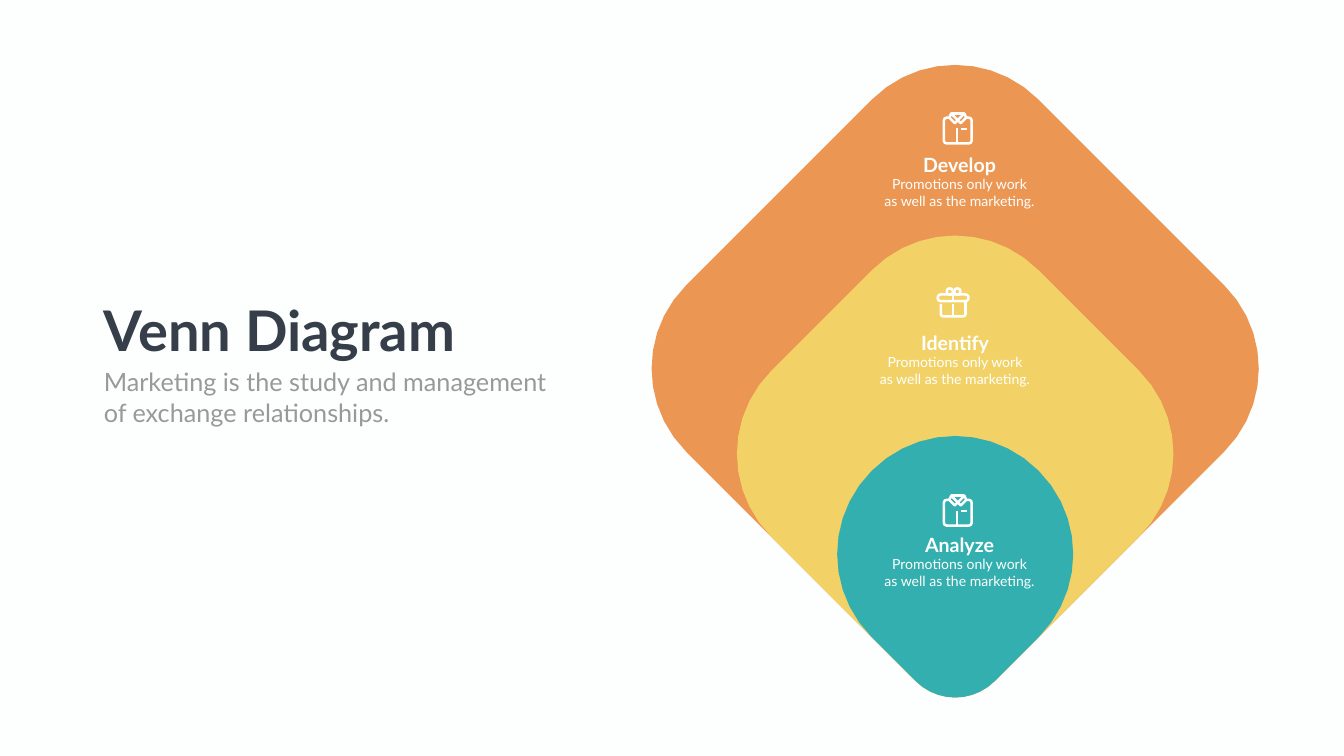
from math import dist

from lxml.etree import SubElement
from pptx import Presentation
from pptx.dml.color import RGBColor
from pptx.enum.shapes import MSO_CONNECTOR as Connector, MSO_SHAPE as Preset
from pptx.enum.text import MSO_ANCHOR as Anchor, MSO_AUTO_SIZE as AutoSize, PP_ALIGN as Align
from pptx.oxml.ns import qn
from pptx.util import Cm, Pt

COLORS = {
    "paper": "FDFFFE",
    "heading": "353E49",
    "muted": "989998",
    "orange": "EB9652",
    "yellow": "F2D267",
    "teal": "32AFAE",
    "icon": "FFFFFF",
}
FONT = "Lato"
DIAMOND_AXIS, DIAMOND_BOTTOM = 48.13, 36.32
SHOULDER_CUT, TIP_CUT = 5.94, 2.83
CURVE = 0.555
SHIRT_WIDTH, GIFT_WIDTH = 1.52, 1.68
CAPTION = ["Promotions only work", "as well as the marketing."]


def rgb(name):
    return RGBColor.from_string(COLORS[name])


def toward(start, end, length):
    share = length / dist(start, end)
    return tuple(a + (b - a) * share for a, b in zip(start, end))


def rounded_corner(before, corner, after, cut, steps):
    start, end = toward(corner, before, cut), toward(corner, after, cut)
    pull, push = (toward(corner, p, cut * (1 - CURVE)) for p in (before, after))
    points = []
    for step in range(steps + 1):
        t = step / steps
        u = 1 - t
        weights = (u**3, 3 * u * u * t, 3 * u * t * t, t**3)
        points.append(tuple(
            sum(w * p[axis] for w, p in zip(weights, (start, pull, push, end)))
            for axis in (0, 1)
        ))
    return points


def add_outline(slide, points, closed):
    places = [(Cm(x), Cm(y)) for x, y in points]
    builder = slide.shapes.build_freeform(*places[0])
    builder.add_line_segments(places[1:], close=closed)
    return builder.convert_to_shape()


def paint(shape, fill=None, stroke=None):
    shape.shadow.inherit = False
    if fill:
        shape.fill.solid()
        shape.fill.fore_color.rgb = rgb(fill)
    else:
        shape.fill.background()
    if stroke:
        shape.line.color.rgb = rgb(stroke)
        shape.line.width = Pt(3.6)
    else:
        shape.line.fill.background()


def add_stroke(slide, left, top, corners, cut=0, closed=False):
    placed = [(left + x, top + y) for x, y in corners]
    if cut:
        points = [placed[0]]
        for before, corner, after in zip(placed, placed[1:], placed[2:]):
            points += rounded_corner(before, corner, after, cut, steps=2)
        placed = points + [placed[-1]]
    paint(add_outline(slide, placed, closed), stroke="icon")


def add_frame(slide, left, top, width, height, cut):
    rim = slide.shapes.add_shape(
        Preset.ROUNDED_RECTANGLE, Cm(left), Cm(top), Cm(width), Cm(height)
    )
    rim.adjustments[0] = cut / min(width, height)
    paint(rim, stroke="icon")


def add_bar(slide, left, top, start, end, weight=3.6):
    bar = slide.shapes.add_connector(
        Connector.STRAIGHT,
        Cm(left + start[0]), Cm(top + start[1]), Cm(left + end[0]), Cm(top + end[1]),
    )
    bar.line.color.rgb = rgb("icon")
    bar.line.width = Pt(weight)
    SubElement(bar._element.spPr, qn("a:effectLst"))


def draw_shirt(slide, center, top):
    left = center - SHIRT_WIDTH / 2
    body = [(0.3, 0.27), (0.06, 0.27), (0.06, 1.57), (1.46, 1.57), (1.46, 0.27), (1.22, 0.27)]
    lapel = [(0.76, 0.4), (0.91, 0.55), (1.19, 0.27), (1.09, 0.06)]
    add_stroke(slide, left, top, body, cut=0.14)
    add_bar(slide, left, top, (0.43, 0.06), (1.09, 0.06))
    for side in (lapel, [(SHIRT_WIDTH - x, y) for x, y in lapel]):
        add_stroke(slide, left, top, side, closed=True)
    add_bar(slide, left, top, (0.94, 0.84), (1.24, 0.84), weight=2.9)
    add_bar(slide, left, top, (0.74, 0.81), (0.74, 1.57), weight=2.9)


def draw_gift(slide, center, top):
    left = center - GIFT_WIDTH / 2
    for bow in (0.52, 0.9):
        add_frame(slide, left + bow, top + 0.06, 0.3, 0.31, cut=0.13)
    add_bar(slide, left, top, (0.84, 0.84), (0.84, 1.44), weight=2.9)
    add_bar(slide, left, top, (0.84, 0.36), (0.84, 0.71))
    add_stroke(slide, left, top, [(0.22, 0.84), (0.22, 1.46), (1.46, 1.46), (1.46, 0.7)], cut=0.1)
    add_frame(slide, left + 0.06, top + 0.36, 1.55, 0.34, cut=0.16)


def write(box, lines, size, color, bold=False, align=Align.LEFT):
    text = box.text_frame
    text.word_wrap = True
    text.auto_size = AutoSize.NONE
    text.vertical_anchor = Anchor.TOP
    for i, line in enumerate(lines):
        paragraph = text.paragraphs[0] if i == 0 else text.add_paragraph()
        paragraph.alignment = align
        run = paragraph.add_run()
        run.text = line
        run.font.name = FONT
        run.font.size = Pt(size)
        run.font.bold = bold
        run.font.color.rgb = rgb(color)


def add_text(slide, left, top, width, height, lines, **style):
    box = slide.shapes.add_textbox(Cm(left), Cm(top), Cm(width), Cm(height))
    write(box, lines, **style)


def add_diamond(slide, reach, fill):
    middle = DIAMOND_BOTTOM - reach
    corners = [
        (DIAMOND_AXIS, middle - reach),
        (DIAMOND_AXIS + reach, middle),
        (DIAMOND_AXIS, DIAMOND_BOTTOM),
        (DIAMOND_AXIS - reach, middle),
    ]
    cuts = [SHOULDER_CUT, SHOULDER_CUT, TIP_CUT, SHOULDER_CUT]
    points = []
    for i, cut in enumerate(cuts):
        points += rounded_corner(corners[i - 1], corners[i], corners[(i + 1) % 4], cut, steps=10)
    paint(add_outline(slide, points, closed=True), fill=fill)


def add_label(slide, center, top, name):
    style = {"color": "paper", "align": Align.CENTER}
    add_text(slide, center - 2.12, top, 4.24, 1.45, [name], size=28, bold=True, **style)
    add_text(slide, center - 4.28, top + 1.14, 8.56, 1.96, CAPTION, size=20, **style)


def add_heading(slide, left, top):
    title = slide.shapes.title
    title.left, title.top, title.width, title.height = Cm(left), Cm(top), Cm(18.77), Cm(3.68)
    write(title, ["Venn Diagram"], size=80, color="heading", bold=True)
    summary = ["Marketing is the study and management", "of exchange relationships."]
    add_text(slide, left, top + 3.6, 24.74, 3.33, summary, size=36, color="muted")


def main():
    deck = Presentation()
    deck.slide_width, deck.slide_height = Cm(67.72), Cm(38.1)
    slide = deck.slides.add_slide(deck.slide_layouts[5])
    slide.background.fill.solid()
    slide.background.fill.fore_color.rgb = rgb("paper")

    layers = [
        ("Develop", 17.75, "orange", draw_shirt, 48.26, 5.66, 7.57),
        ("Identify", 13.45, "yellow", draw_gift, 48.03, 14.48, 16.54),
        ("Analyze", 8.4, "teal", draw_shirt, 48.26, 24.92, 26.75),
    ]
    for name, reach, fill, draw_icon, center, icon_top, label_top in layers:
        add_diamond(slide, reach, fill)
        draw_icon(slide, center, icon_top)
        add_label(slide, center + 0.09, label_top, name)
    add_heading(slide, 4.98, 14.76)
    deck.save("out.pptx")


if __name__ == "__main__":
    main()
